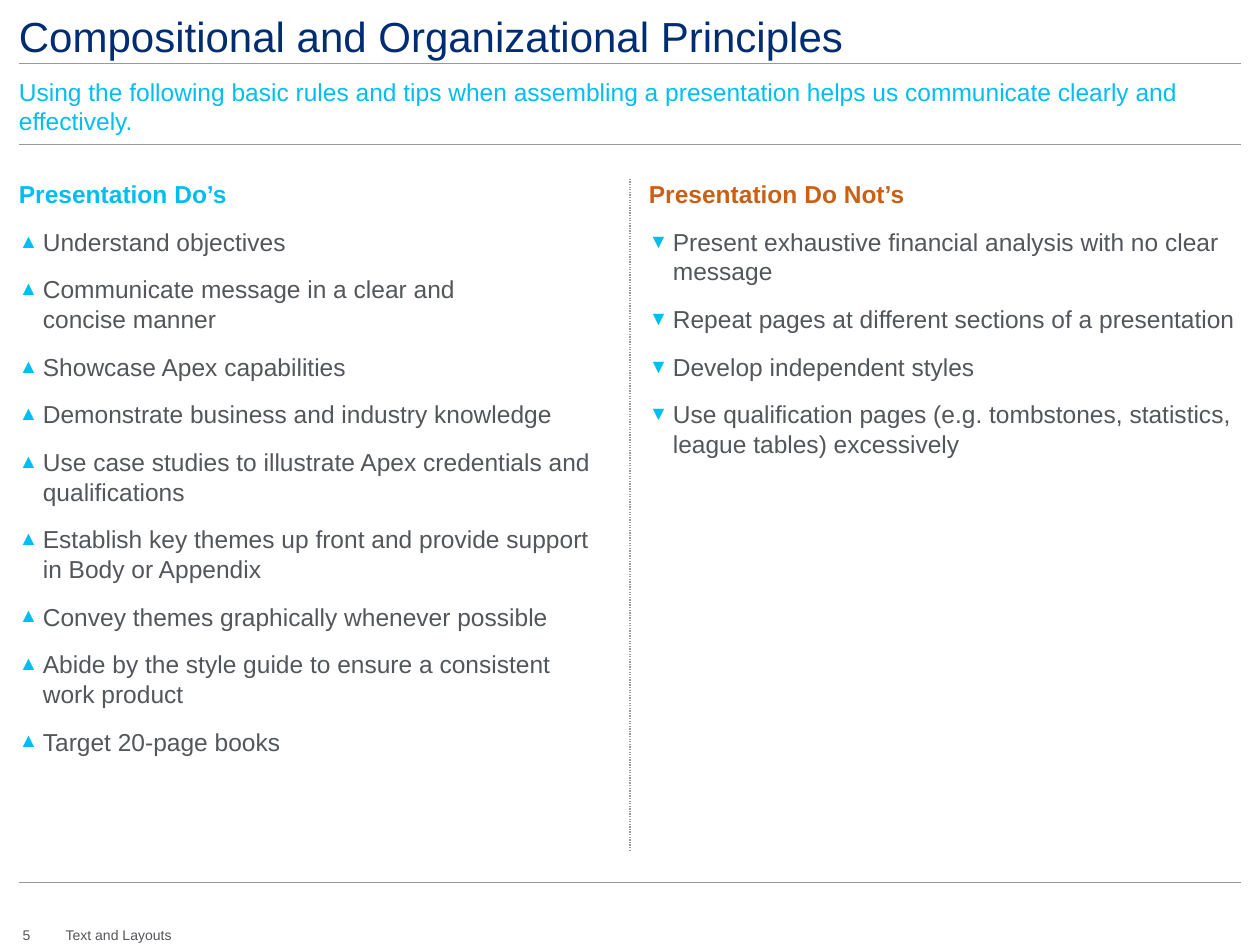
from lxml import etree
from pptx import Presentation
from pptx.dml.color import RGBColor
from pptx.enum.dml import MSO_LINE
from pptx.enum.shapes import MSO_CONNECTOR
from pptx.enum.text import MSO_ANCHOR, MSO_AUTO_SIZE, PP_ALIGN
from pptx.oxml.ns import qn
from pptx.util import Inches, Pt

STRAIGHT = MSO_CONNECTOR.STRAIGHT
TOP, MIDDLE, BOTTOM = MSO_ANCHOR.TOP, MSO_ANCHOR.MIDDLE, MSO_ANCHOR.BOTTOM
LEFT = PP_ALIGN.LEFT
DOTTED = MSO_LINE.ROUND_DOT
FONT = "Arial"
COLORS = {"navy": "002D72", "cyan": "00BDF2", "orange": "CB6015",
          "text": "53565A", "rule": "97999B", "white": "FFFFFF"}

# Content
TITLE = "Compositional and Organizational Principles"
SUBTITLE = ("Using the following basic rules and tips when assembling a presentation "
            "helps us communicate clearly and effectively.")
DOS = [
    "Understand objectives",
    "Communicate message in a clear and\nconcise manner",
    "Showcase Apex capabilities",
    "Demonstrate business and industry knowledge",
    "Use case studies to illustrate Apex credentials and qualifications",
    "Establish key themes up front and provide support in Body or Appendix",
    "Convey themes graphically whenever possible",
    "Abide by the style guide to ensure a consistent work product",
    "Target 20-page books",
]
DO_NOTS = [
    "Present exhaustive financial analysis with no clear message",
    "Repeat pages at different sections of a presentation",
    "Develop independent styles",
    "Use qualification pages (e.g. tombstones, statistics, league tables) excessively",
]
# Heading, heading colour, bullet sign, items
COLUMNS = [("Presentation Do’s", "cyan", "▲", DOS),
           ("Presentation Do Not’s", "orange", "▼", DO_NOTS)]
FOOTER = [("5", 0.18, 0.06), ("Text and Layouts", 0.52, 0.75)]

# Layout in inches
MARGIN, RIGHT, MIDLINE = 0.15, 9.85, 5
BODY_TOP, BODY_BOTTOM = 1.42, 6.75
COLUMN_WIDTH = 4.68
INDENT = Inches(0.19)


def rgb(name):
    return RGBColor.from_string(COLORS[name])


def place(shape, left, top, width, height):
    shape.left, shape.top = Inches(left), Inches(top)
    shape.width, shape.height = Inches(width), Inches(height)


def prepare_frame(shape, anchor, wrap=True):
    frame = shape.text_frame
    frame.margin_left = frame.margin_right = frame.margin_top = frame.margin_bottom = 0
    frame.vertical_anchor = anchor
    frame.word_wrap = wrap
    frame.auto_size = MSO_AUTO_SIZE.NONE
    return frame


def write(paragraph, text, size, color, bold=False):
    paragraph.text = text
    paragraph.alignment = LEFT
    for run in paragraph.runs:
        run.font.name, run.font.size, run.font.bold = FONT, Pt(size), bold
        run.font.color.rgb = rgb(color)


def set_bullet(paragraph, sign=None):
    props = paragraph._p.get_or_add_pPr()
    indent = INDENT if sign else 0
    props.set("marL", str(indent))
    props.set("indent", str(-indent))
    if not sign:
        etree.SubElement(props, qn("a:buNone"))
        return
    color = etree.SubElement(props, qn("a:buClr"))
    etree.SubElement(color, qn("a:srgbClr"), val=COLORS["cyan"])
    etree.SubElement(props, qn("a:buSzPct"), val="80000")
    etree.SubElement(props, qn("a:buFont"), typeface=FONT)
    etree.SubElement(props, qn("a:buChar"), char=sign)


def add_rule(x1, y1, x2, y2, width=0.5, dash=None):
    rule = slide.shapes.add_connector(
        STRAIGHT, Inches(x1), Inches(y1), Inches(x2), Inches(y2))
    rule.line.color.rgb = rgb("rule")
    rule.line.width = Pt(width)
    if dash:
        rule.line.dash_style = dash
    etree.SubElement(rule._element.spPr, qn("a:effectLst"))


def add_text(text, left, top, width, height, size, color, anchor=TOP, wrap=True):
    box = slide.shapes.add_textbox(
        Inches(left), Inches(top), Inches(width), Inches(height))
    write(prepare_frame(box, anchor, wrap).paragraphs[0], text, size, color)


prs = Presentation()
prs.slide_width, prs.slide_height = Inches(10), Inches(7.5)
slide = prs.slides.add_slide(prs.slide_layouts.get_by_name("Two Content"))
title, *bodies = slide.placeholders

# Title
place(title, MARGIN, 0.07, 9.69, 0.41)
title.fill.solid()
title.fill.fore_color.rgb = rgb("white")
title.line.color.rgb = rgb("white")
title.line.width = Pt(1)
write(prepare_frame(title, BOTTOM).paragraphs[0], TITLE, 24, "navy")

# Two columns of advice
for body, left, (heading, color, sign, items) in zip(
        bodies, (MARGIN, MIDLINE + MARGIN), COLUMNS):
    place(body, left, BODY_TOP, COLUMN_WIDTH, BODY_BOTTOM - BODY_TOP)
    frame = prepare_frame(body, TOP)
    head = frame.paragraphs[0]
    write(head, heading, 14, color, bold=True)
    head.space_before = Pt(0)
    set_bullet(head)
    for item in items:
        paragraph = frame.add_paragraph()
        write(paragraph, item, 14, "text")
        paragraph.space_before = Pt(10.5)
        set_bullet(paragraph, sign)

# Subtitle
add_text(SUBTITLE, MARGIN, 0.61, 9.69, 0.47, 14, "cyan", MIDDLE)

# Rules
for y in (0.5, 1.15, 7):
    add_rule(MARGIN, y, RIGHT, y)
add_rule(MIDLINE, BODY_TOP, MIDLINE, BODY_BOTTOM, 0.75, DOTTED)

# Footer
for text, left, width in FOOTER:
    add_text(text, left, 7.35, width, 0.13, 8, "text", wrap=False)

prs.save("out.pptx")
